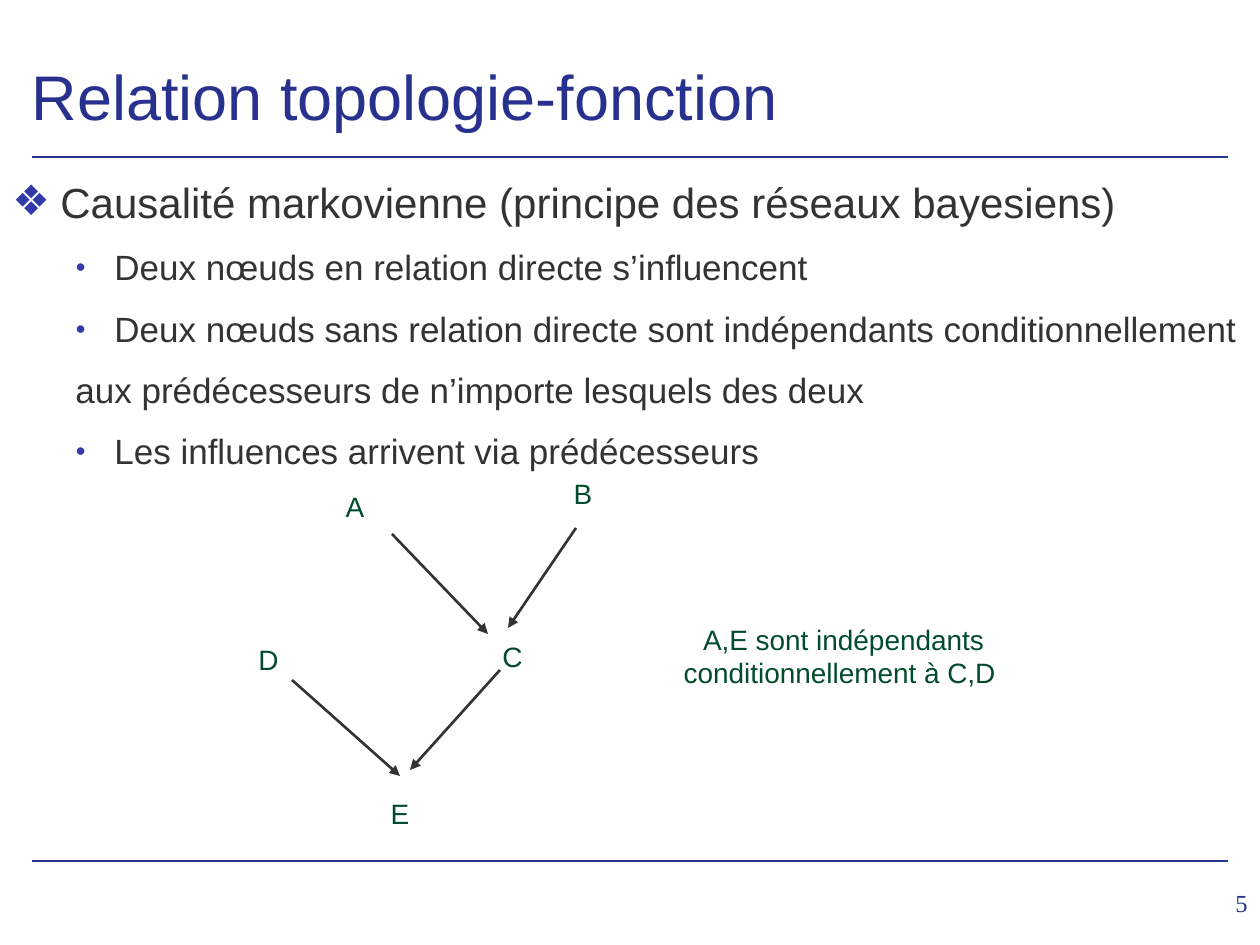
from lxml import etree
from pptx import Presentation
from pptx.dml.color import RGBColor
from pptx.enum.shapes import MSO_CONNECTOR
from pptx.enum.text import MSO_ANCHOR, MSO_AUTO_SIZE, PP_ALIGN
from pptx.oxml.ns import qn
from pptx.util import Pt

LINE = MSO_CONNECTOR.STRAIGHT
BOTTOM = MSO_ANCHOR.BOTTOM
FIXED = MSO_AUTO_SIZE.NONE
LEFT, MID, RIGHT = PP_ALIGN.LEFT, PP_ALIGN.CENTER, PP_ALIGN.RIGHT
COLORS = {"navy": "28328E", "mark": "303BA8", "text": "333333", "node": "004C2B"}

MAIN, SUB, PLAIN = "main", "sub", "plain"
MARKS = {MAIN: ("❖", 100), SUB: ("●", 50)}
POINTS = [
    (MAIN, "Causalité markovienne (principe des réseaux bayesiens)"),
    (SUB, "Deux nœuds en relation directe s’influencent"),
    (SUB, "Deux nœuds sans relation directe sont indépendants conditionnellement"),
    (PLAIN, "aux prédécesseurs de n’importe lesquels des deux"),
    (SUB, "Les influences arrivent via prédécesseurs"),
]
NODES = {"A": (333, 483), "B": (561, 470), "C": (490, 633), "D": (246, 636), "E": (378, 790)}
EDGES = [
    (292, 680, 400, 776),
    (500, 670, 410, 770),
    (392, 534, 488, 634),
    (576, 528, 508, 628),
]


def px(count):
    """Turn pixels into EMU."""
    return round(count * 914400 / 126)


def color(name):
    """Look up a named colour."""
    return RGBColor.from_string(COLORS[name])


def style(para, size, name, face="Arial", align=LEFT):
    """Set the font and alignment of a paragraph."""
    font = para.font
    font.size, font.name = Pt(size), face
    font.color.rgb = color(name)
    para.alignment = align


def add_line(slide, x1, y1, x2, y2, name, arrow=False):
    """Draw a straight line, with an arrowhead if asked."""
    line = slide.shapes.add_connector(LINE, px(x1), px(y1), px(x2), px(y2))
    line.line.width = Pt(1.5)
    line.line.color.rgb = color(name)
    if arrow:
        etree.SubElement(line.line._get_or_add_ln(), qn("a:tailEnd"), type="triangle")
    etree.SubElement(line._element.spPr, qn("a:effectLst"))


def add_text(slide, box, lines, size, name, face="Arial", align=MID, wrap=False):
    """Add a text box with one paragraph per line."""
    frame = slide.shapes.add_textbox(*map(px, box)).text_frame
    frame.word_wrap = wrap
    frame.text = "\n".join(lines)
    for para in frame.paragraphs:
        style(para, size, name, face, align)
    return frame


def add_mark(para, char, size):
    """Give a paragraph a coloured bullet."""
    props = para._p.get_or_add_pPr()
    tint = etree.SubElement(props, qn("a:buClr"))
    etree.SubElement(tint, qn("a:srgbClr"), val=COLORS["mark"])
    etree.SubElement(props, qn("a:buSzPct"), val=str(size * 1000))
    etree.SubElement(props, qn("a:buFont"), typeface="Arial")
    etree.SubElement(props, qn("a:buChar"), char=char)


def add_title(slide, text):
    """Place and format the title."""
    title = slide.shapes.title
    title.left, title.top, title.width, title.height = map(px, (19, 14, 1228, 125))
    frame = title.text_frame
    frame.text = text
    frame.vertical_anchor = BOTTOM
    frame.auto_size = FIXED
    style(frame.paragraphs[0], 36, "navy")


def add_points(slide):
    """Add the bulleted text."""
    lines = [text for _, text in POINTS]
    frame = add_text(slide, (0, 168, 1260, 683), lines, 20, "text", align=LEFT, wrap=True)
    for row, (kind, _) in enumerate(POINTS):
        para = frame.paragraphs[row]
        left, hang = (48, 48) if kind == MAIN else (102, 39)
        props = para._p.get_or_add_pPr()
        props.set("marL", str(px(left)))
        props.set("indent", str(-px(hang)))
        if kind in MARKS:
            add_mark(para, *MARKS[kind])
        para.line_spacing = Pt(30)
        if row:
            para.level = 1
            para.space_before = Pt(5)
        else:
            para.font.size = Pt(24)


def main():
    """Build the slide and save it."""
    deck = Presentation()
    deck.slide_width, deck.slide_height = px(1260), px(945)
    slide = deck.slides.add_slide(deck.slide_layouts[5])
    for y in (861, 157):
        add_line(slide, 32, y, 1228, y, "navy")
    add_title(slide, "Relation topologie-fonction")
    add_points(slide)
    for edge in EDGES:
        add_line(slide, *edge, "text", arrow=True)
    for label, (x, y) in NODES.items():
        add_text(slide, (x, y, 44, 47), [label], 16, "node")
    note = ["A,E sont indépendants", "conditionnellement à C,D "]
    add_text(slide, (671, 616, 345, 81), note, 16, "node")
    add_text(slide, (1206, 882, 54, 63), ["5"], 14, "navy", "Times New Roman", RIGHT, True)
    deck.save("out.pptx")


if __name__ == "__main__":
    main()
